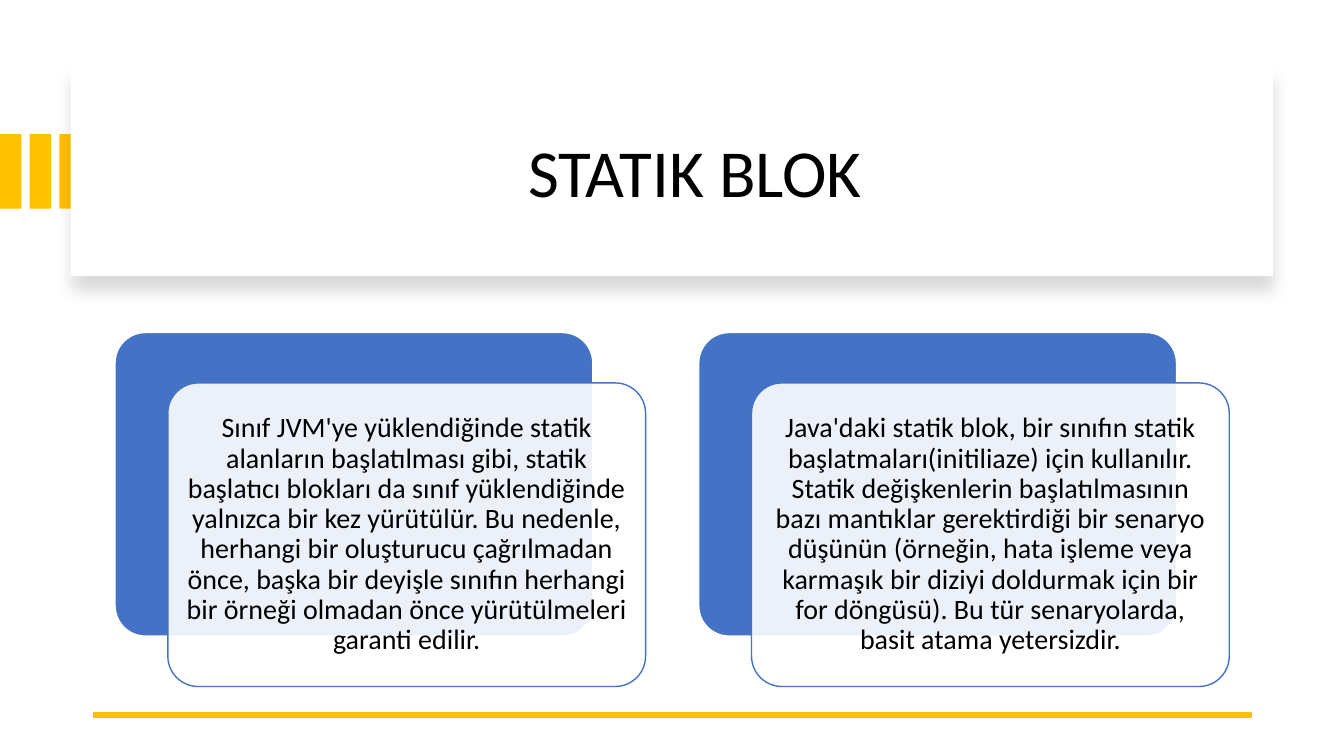
from dataclasses import dataclass

from lxml import etree
from pptx import Presentation
from pptx.dml.color import RGBColor
from pptx.enum import shapes, text
from pptx.oxml import ns
from pptx.util import Cm, Pt


@dataclass(frozen=True)
class Theme:
    font: str = "Calibri"
    gold: str = "FFC000"
    blue: str = "4472C4"
    white: str = "FFFFFF"
    black: str = "000000"
    title_size: int = 48
    body_size: int = 20


THEME = Theme()
TITLE = "STATIK BLOK"
CARDS = [
    "Sınıf JVM'ye yüklendiğinde statik alanların başlatılması gibi, statik "
    "başlatıcı blokları da sınıf yüklendiğinde yalnızca bir kez yürütülür. "
    "Bu nedenle, herhangi bir oluşturucu çağrılmadan önce, başka bir deyişle "
    "sınıfın herhangi bir örneği olmadan önce yürütülmeleri garanti edilir.",
    "Java'daki statik blok, bir sınıfın statik başlatmaları(initiliaze) için "
    "kullanılır. Statik değişkenlerin başlatılmasının bazı mantıklar "
    "gerektirdiği bir senaryo düşünün (örneğin, hata işleme veya karmaşık bir "
    "diziyi doldurmak için bir for döngüsü). Bu tür senaryolarda, basit atama "
    "yetersizdir.",
]


def rgb(color):
    return RGBColor.from_string(color)


def add_box(s, kind, x, y, w, h, fill, line=None):
    """Add a flat filled shape, measured in centimetres."""
    sp = s.shapes.add_shape(kind, Cm(x), Cm(y), Cm(w), Cm(h))
    sp.shadow.inherit = False
    sp.fill.solid()
    sp.fill.fore_color.rgb = rgb(fill)
    if line:
        sp.line.color.rgb = rgb(line)
        sp.line.width = Pt(1)
    else:
        sp.line.fill.background()
    return sp


def write(sp, content, size, align):
    tf = sp.text_frame
    tf.word_wrap = True
    tf.vertical_anchor = text.MSO_ANCHOR.MIDDLE
    tf.text = content
    p = tf.paragraphs[0]
    p.alignment = align
    p.line_spacing = 0.9
    font = p.runs[0].font
    font.name = THEME.font
    font.size = Pt(size)
    font.color.rgb = rgb(THEME.black)
    return tf


def set_alpha(sp, percent):
    color = sp.fill._xPr.find(".//" + ns.qn("a:srgbClr"))
    etree.SubElement(color, ns.qn("a:alpha"), val=str(percent * 1000))


def add_drop_shadow(sp, blur, distance, percent):
    """Cast a soft black shadow straight down; blur and distance in points."""
    effects = sp._element.spPr.find(ns.qn("a:effectLst"))
    shadow = etree.SubElement(
        effects, ns.qn("a:outerShdw"), blurRad=str(Pt(blur)),
        dist=str(Pt(distance)), dir="5400000", algn="t", rotWithShape="0")
    color = etree.SubElement(shadow, ns.qn("a:srgbClr"), val=THEME.black)
    etree.SubElement(color, ns.qn("a:alpha"), val=str(percent * 1000))


def add_side_bars(s):
    for i in range(3):
        add_box(s, shapes.MSO_SHAPE.RECTANGLE, 0.75 * i, 3.38, 0.54, 1.88,
                THEME.gold)


def add_title(s):
    panel = add_box(s, shapes.MSO_SHAPE.RECTANGLE, 1.78, 1.7, 30.3, 5.26,
                    THEME.white)
    add_drop_shadow(panel, blur=11, distance=10, percent=15)
    title = s.shapes.add_textbox(Cm(2.9), Cm(2.26), Cm(28.27), Cm(4.32))
    tf = write(title, TITLE, THEME.title_size, text.PP_ALIGN.LEFT)
    tf.margin_left = Cm(10.41)


def add_rule(s):
    line = s.shapes.add_connector(shapes.MSO_CONNECTOR.STRAIGHT,
                                  Cm(31.55), Cm(18.01), Cm(2.34), Cm(18.01))
    line.line.color.rgb = rgb(THEME.gold)
    line.line.width = Pt(4.5)
    etree.SubElement(line._element.spPr, ns.qn("a:effectLst"))


def add_card(s, x, y, content):
    """Add a blue card with a translucent text card offset in front of it."""
    w, h, offset = 12.04, 7.65, (1.33, 1.27)
    back = add_box(s, shapes.MSO_SHAPE.ROUNDED_RECTANGLE, x, y, w, h,
                   THEME.blue, THEME.white)
    front = add_box(s, shapes.MSO_SHAPE.ROUNDED_RECTANGLE,
                    x + offset[0], y + offset[1], w, h,
                    THEME.white, THEME.blue)
    for sp in (back, front):
        sp.adjustments[0] = 0.1
    set_alpha(front, 90)
    tf = write(front, content, THEME.body_size, text.PP_ALIGN.CENTER)
    tf.margin_left = tf.margin_right = Cm(0.2)
    tf.margin_top = tf.margin_bottom = Cm(0.2)


def main():
    prs = Presentation()
    prs.slide_width, prs.slide_height = Cm(33.87), Cm(19.05)
    s = prs.slides.add_slide(prs.slide_layouts[6])
    add_side_bars(s)
    add_title(s)
    add_rule(s)
    for i, content in enumerate(CARDS):
        add_card(s, 2.9 + 14.71 * i, 8.38, content)
    prs.save("out.pptx")


if __name__ == "__main__":
    main()
